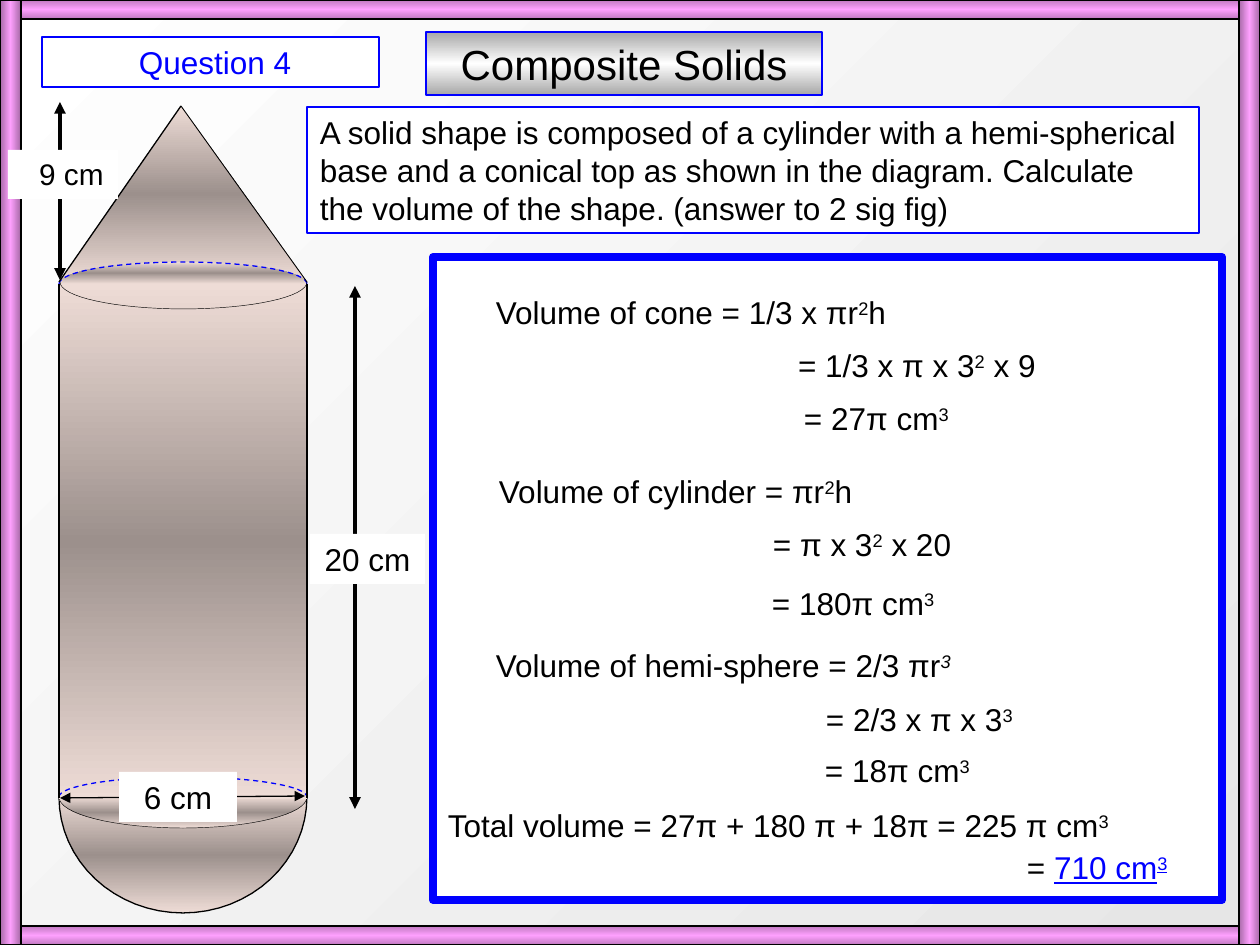
from copy import deepcopy
from math import cos, pi, sin

from lxml import etree
from pptx import Presentation
from pptx.dml.color import RGBColor
from pptx.enum.dml import MSO_LINE
from pptx.enum.shapes import MSO_CONNECTOR, MSO_SHAPE
from pptx.enum.text import MSO_ANCHOR, PP_ALIGN
from pptx.oxml.ns import qn
from pptx.util import Pt

SCALE = 914400 / 126  # EMU in one px
PAGE_WIDTH, PAGE_HEIGHT = 1260, 945
TITLE_ONLY = 5

RECTANGLE = MSO_SHAPE.RECTANGLE
STRAIGHT = MSO_CONNECTOR.STRAIGHT
DASH = MSO_LINE.DASH
LEFT, CENTER = PP_ALIGN.LEFT, PP_ALIGN.CENTER
TOP, MIDDLE = MSO_ANCHOR.TOP, MSO_ANCHOR.MIDDLE

BLACK, WHITE, BLUE = "000000", "FFFFFF", "0000FF"
STEEL = ("A8A8A8", WHITE, "A8A8A8")
SKIN = ("EEDCD6", "9C908C", "EEDCD6")
PINK_BAR = ("C079C0", "FEA0FE", "C079C0")
PINK_POST = ("A769A7", "FEA0FE", "A769A7")


def px(length):
    return round(length * SCALE)


def color(value):
    return RGBColor.from_string(value)


def set_gradient(owner, fill, colors, angle):
    """Spread two or three colours evenly; the angle runs counter-clockwise."""
    fill.gradient()
    fill.gradient_angle = angle
    stop_list = next(owner.element.iter(qn("a:gsLst")))
    while len(stop_list) < len(colors):
        stop_list.insert(1, deepcopy(stop_list[0]))
    for index, stop in enumerate(fill.gradient_stops):
        stop.position = index / (len(colors) - 1)
        stop.color.rgb = color(colors[index])


def add_text(para, text, size=18, ink=BLACK, underline=None, italic_powers=None):
    """Add text in which a caret raises the one character after it."""
    first, *rest = text.split("^")
    pieces = [(first, False)]
    for part in rest:
        pieces += [(part[0], True), (part[1:], False)]
    for piece, raised in pieces:
        if not piece:
            continue
        span = para.add_run()
        span.text = piece
        span.font.name = "Arial"
        span.font.size = Pt(size)
        span.font.color.rgb = color(ink)
        span.font.underline = underline
        if raised:
            span.font.italic = italic_powers
            span.font._element.set("baseline", "30000")


def half_ellipse(left, right, base, height, steps=32):
    """Points from left to right; a negative height bulges upwards."""
    center, radius = (left + right) / 2, (right - left) / 2
    angles = [pi * step / steps for step in range(steps + 1)]
    return [(center - radius * cos(a), base + height * sin(a)) for a in angles]


class SlideBuilder:
    def __init__(self, page):
        self.page = page
        self.shapes = page.shapes

    def paint(self, shape, fill, line, weight, dash=None, angle=90):
        shape.shadow.inherit = False
        if fill is None:
            shape.fill.background()
        elif isinstance(fill, tuple):
            set_gradient(shape, shape.fill, fill, angle)
        else:
            shape.fill.solid()
            shape.fill.fore_color.rgb = color(fill)
        if line is None:
            shape.line.fill.background()
        else:
            shape.line.color.rgb = color(line)
            shape.line.width = Pt(weight)
            if dash:
                shape.line.dash_style = dash

    def label(self, shape, text, align=LEFT, anchor=TOP, insets=(13, 13), **style):
        frame = shape.text_frame
        frame.word_wrap = True
        frame.vertical_anchor = anchor
        frame.margin_left, frame.margin_right = map(px, insets)
        frame.margin_top = frame.margin_bottom = px(6)
        para = frame.paragraphs[0]
        para.alignment = align
        add_text(para, text, **style)
        return para

    def title(self, text, left, top, width, height):
        box = self.shapes.title
        box.left, box.top, box.width, box.height = map(px, (left, top, width, height))
        self.paint(box, STEEL, BLUE, 0.75)
        self.label(box, text, CENTER, MIDDLE, size=24)

    def rectangle(self, left, top, width, height, fill=WHITE, line=None, weight=0.75, angle=90):
        box = self.shapes.add_shape(RECTANGLE, *map(px, (left, top, width, height)))
        self.paint(box, fill, line, weight, angle=angle)
        return box

    def text(self, text, left, top, width, **style):
        box = self.shapes.add_textbox(*map(px, (left, top, width, 50)))
        return self.label(box, text, **style)

    def outline(self, points, fill=None, line=None, weight=0.75, dash=None, close=False):
        corners = [(px(x), px(y)) for x, y in points]
        builder = self.shapes.build_freeform(*corners[0], scale=1.0)
        builder.add_line_segments(corners[1:], close=close)
        self.paint(builder.convert_to_shape(), fill, line, weight, dash)

    def line(self, start, end, weight=0.75, arrows=False):
        connector = self.shapes.add_connector(STRAIGHT, *map(px, start + end))
        connector.line.color.rgb = color(BLACK)
        connector.line.width = Pt(weight)
        properties = connector.element.spPr
        if arrows:
            for end_tag in ("a:headEnd", "a:tailEnd"):
                etree.SubElement(properties.find(qn("a:ln")), qn(end_tag), type="triangle")
        etree.SubElement(properties, qn("a:effectLst"))


def draw_solid(slide):
    left, right = 59, 307
    cone_base, bowl_top = 282, 797
    apex = (181, 106)
    corners = ((left, cone_base), (right, cone_base))
    cone_front = half_ellipse(left + 1, right, cone_base, 27)
    bowl_back = half_ellipse(left, right, bowl_top, -20)

    slide.outline(cone_front, SKIN, BLACK, 0.25)
    slide.outline([*corners, apex], SKIN, close=True)
    slide.outline(half_ellipse(left, right, cone_base + 2, -22), SKIN, BLUE, dash=DASH)
    for corner, weight in zip(corners, (0.75, 0.5)):
        slide.line(corner, apex, weight)
    slide.outline(half_ellipse(left, right, bowl_top, 116), SKIN, BLACK)
    slide.outline(half_ellipse(left, right, bowl_top, 31), SKIN, BLACK, 0.25)
    slide.outline(bowl_back, SKIN, BLACK, 0.25)
    slide.rectangle(left, cone_base + 2, right - left, bowl_top - cone_base, SKIN)
    slide.outline(bowl_back, line=BLUE, dash=DASH)
    slide.outline(cone_front, line=BLACK, weight=0.25)
    for side in (left, right):
        slide.line((side, bowl_top + 1), (side, cone_base + 2))


def main():
    deck = Presentation()
    deck.slide_width, deck.slide_height = px(PAGE_WIDTH), px(PAGE_HEIGHT)
    page = deck.slides.add_slide(deck.slide_layouts[TITLE_ONLY])
    set_gradient(page, page.background.fill, ("E6E6E6", WHITE), 135)
    slide = SlideBuilder(page)

    slide.title("Composite Solids", 426, 32, 396, 63)
    draw_solid(slide)

    bar, post = 19, 21
    for top in (0, PAGE_HEIGHT - bar):
        slide.rectangle(0, top, PAGE_WIDTH, bar, PINK_BAR, BLACK)
    for left in (0, PAGE_WIDTH - post):
        slide.rectangle(left, 0, post, PAGE_HEIGHT, PINK_POST, BLACK, angle=180)

    question = slide.rectangle(307, 107, 892, 126, line=BLUE)
    slide.label(question, "A solid shape is composed of a cylinder with a hemi-spherical base "
                "and a conical top as shown in the diagram. Calculate the volume of the "
                "shape. (answer to 2 sig fig)")
    number = slide.rectangle(42, 37, 337, 50, line=BLUE)
    slide.label(number, "Question 4", CENTER, insets=(22, 13), ink=BLUE)

    slide.rectangle(433, 257, 789, 643, line=BLUE, weight=4.5)
    working = [
        ("Volume of cone = 1/3 x πr^2h", 483, 287, 629),
        ("= 1/3 x π x 3^2 x 9", 785, 340, 311),
        ("= 27π cm^3", 791, 393, 214),
        ("Volume of cylinder = πr^2h", 486, 466, 572),
        ("= π x 3^2 x 20", 760, 519, 252),
        ("= 180π cm^3", 759, 578, 233),
        ("= 2/3 x π x 3^3", 813, 694, 228),
        ("= 18π cm^3", 812, 745, 225),
        ("Total volume = 27π + 180 π + 18π = 225 π cm^3", 435, 800, 742),
    ]
    for text, left, top, width in working:
        slide.text(text, left, top, width)
    slide.text("Volume of hemi-sphere = 2/3 πr^3", 483, 640, 557, italic_powers=True)
    answer = slide.text("= ", 1014, 842, 194)
    add_text(answer, "710 cm^3", ink=BLUE, underline=True)

    dimensions = [
        ("6 cm", (60, 798), (305, 796), 0.75, (119, 772, 118, 50), {}),
        ("20 cm", (355, 286), (355, 809), 2.25, (310, 534, 115, 50), {}),
        ("9 cm", (60, 102), (60, 280), 2.25, (8, 150, 110, 49), {"size": 17, "insets": (17, 0)}),
    ]
    for text, start, end, weight, place, style in dimensions:
        slide.line(start, end, weight, arrows=True)
        slide.label(slide.rectangle(*place), text, CENTER, **style)

    deck.save("out.pptx")


if __name__ == "__main__":
    main()
